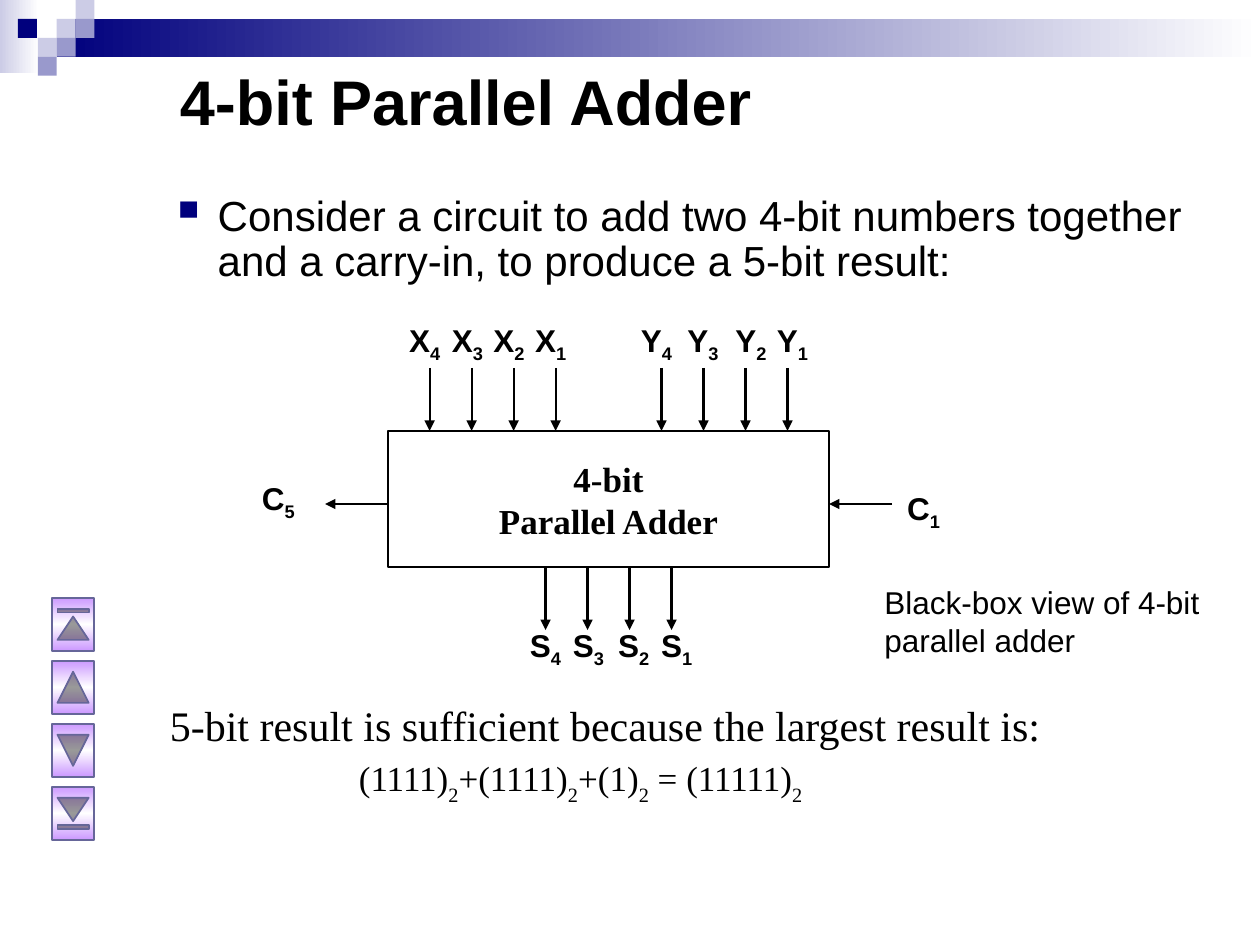
from lxml import etree
from pptx import Presentation
from pptx import util as u
from pptx.dml.color import RGBColor
from pptx.enum import shapes, text
from pptx.oxml import parse_xml
from pptx.oxml.ns import nsdecls, qn

BLACK, NAVY, PALE, MID = "000000", "00007D", "CCCCE6", "9999CC"
SERIF = "Times New Roman"
KIND = shapes.MSO_SHAPE


def rgb(color):
    return RGBColor.from_string(color)


def inches(*lengths):
    return [u.Inches(n) for n in lengths]


def add_shape(s, kind, box, fill=None, line=None, width=1):
    sp = s.shapes.add_shape(kind, *inches(*box))
    sp.shadow.inherit = False
    if fill:
        sp.fill.solid()
        sp.fill.fore_color.rgb = rgb(fill)
    else:
        sp.fill.background()
    if line:
        sp.line.color.rgb = rgb(line)
        sp.line.width = u.Pt(width)
    else:
        sp.line.fill.background()
    return sp


def set_gradient(sp, colors, angle=0):
    """Spread the colours evenly, at an angle that stays fixed on the slide."""
    stops = "".join(
        f'<a:gs pos="{100000 * i // (len(colors) - 1)}"><a:srgbClr val="{c}"/></a:gs>'
        for i, c in enumerate(colors))
    grad = parse_xml(
        f'<a:gradFill {nsdecls("a")} rotWithShape="0"><a:gsLst>{stops}</a:gsLst>'
        f'<a:lin ang="{angle * 60000}" scaled="1"/></a:gradFill>')
    spPr = sp._element.spPr
    spPr.replace(spPr.find(qn("a:noFill")), grad)


def add_text(s, box, paragraphs, size=18, font="Arial", bold=False,
             align=text.PP_ALIGN.LEFT, anchor=text.MSO_ANCHOR.TOP):
    """Each paragraph is a list of (text, baseline percent, size or None)."""
    tf = s.shapes.add_textbox(*inches(*box)).text_frame
    tf.word_wrap = True
    tf.vertical_anchor = anchor
    for i, runs in enumerate(paragraphs):
        p = tf.paragraphs[0] if i == 0 else tf.add_paragraph()
        p.alignment = align
        for words, baseline, run_size in runs:
            r = p.add_run()
            r.text = words
            r.font.size = u.Pt(run_size or size)
            r.font.name = font
            r.font.bold = bold
            r.font.color.rgb = rgb(BLACK)
            if baseline:
                r._r.get_or_add_rPr().set("baseline", str(baseline * 1000))
    return tf


def plain(words):
    return [(words, 0, None)]


def add_arrow(s, x1, y1, x2, y2):
    line = s.shapes.add_connector(shapes.MSO_CONNECTOR.STRAIGHT, *inches(x1, y1, x2, y2))
    line.line.color.rgb = rgb(BLACK)
    line.line.width = u.Pt(1.25)
    etree.SubElement(line.line._get_or_add_ln(), qn("a:tailEnd"), type="triangle")
    etree.SubElement(line._element.spPr, qn("a:effectLst"))


def add_signal(s, center, top, letter, index):
    width = 0.6
    add_text(s, (center - width / 2, top, width, 0.44),
             [[(letter, 0, None), (str(index), -25, None)]],
             bold=True, align=text.PP_ALIGN.CENTER)


def header(s, left, top, width):
    unit = 0.15
    set_gradient(add_shape(s, KIND.RECTANGLE, (left, top, 0.31, 0.58)), [PALE, "FFFFFF"])
    bar = (left + 3 * unit, top + unit, width - 3 * unit, 2 * unit)
    set_gradient(add_shape(s, KIND.RECTANGLE, bar), [NAVY, "FFFFFF"])
    squares = [(3, 1, PALE), (4, 0, PALE), (4, 1, MID), (2, 2, PALE),
               (0.95, 1, NAVY), (3, 2, MID), (2, 3, MID)]
    for col, row, color in squares:
        add_shape(s, KIND.RECTANGLE,
                  (left + col * unit, top + row * unit, unit, unit), color)


def bullet_text(s, box, words):
    p = add_text(s, box, [plain(words)], size=24).paragraphs[0]
    p.line_spacing = 0.9
    pPr = p._p.get_or_add_pPr()
    indent = u.Inches(0.38)
    pPr.set("marL", str(indent))
    pPr.set("indent", str(-indent))
    color = etree.SubElement(pPr, qn("a:buClr"))
    etree.SubElement(color, qn("a:srgbClr"), val=NAVY)
    etree.SubElement(pPr, qn("a:buSzPct"), val="120000")
    etree.SubElement(pPr, qn("a:buChar"), char="▪")


def adder_diagram(s, left, top, width, height):
    right, bottom, middle = left + width, top + height, top + 0.58
    reach, pitch = 0.5, 1 / 3
    add_shape(s, KIND.RECTANGLE, (left, top, width, height), line=BLACK, width=1.5)
    add_text(s, (left + 0.58, top + 0.16, width - 1.16, 0.77),
             [plain("4-bit"), plain("Parallel Adder")],
             size=20, font=SERIF, bold=True, align=text.PP_ALIGN.CENTER)

    # letter, first arrow, arrow start, label top, label centres
    buses = [
        ("X", 0.33, top - reach, top - 0.92, (0.29, 0.63, 0.96, 1.29)),
        ("Y", 2.17, top - reach, top - 0.92, (2.13, 2.5, 2.88, 3.21)),
        ("S", 1.25, bottom, bottom + 0.42, (1.25, 1.59, 1.95, 2.29)),
    ]
    for letter, first, start, label_top, centers in buses:
        for i, center in enumerate(centers):
            x = left + first + i * pitch
            add_arrow(s, x, start, x, start + reach)
            add_signal(s, left + center, label_top, letter, 4 - i)

    add_arrow(s, left, middle, left - reach, middle)
    add_signal(s, left - 0.87, top + 0.33, "C", 5)
    add_arrow(s, right + reach, middle, right, middle)
    add_signal(s, right + 0.75, top + 0.41, "C", 1)


def result_text(s, box):
    formula = [("\t", 0, 24), ("\t\t", 0, 20)]
    for term in ("(1111)", "+(1111)", "+(1)", " = (11111)"):
        formula += [(term, 0, 20), ("2", -30, 20)]
    add_text(s, box, [plain("5-bit result is sufficient because the largest result is:"),
                      formula], size=24, font=SERIF)


def navigation(s, left, top, pitch):
    """Stack buttons turned a quarter so that their arrows point up and down."""
    kinds = [KIND.ACTION_BUTTON_BEGINNING, KIND.ACTION_BUTTON_BACK_OR_PREVIOUS,
             KIND.ACTION_BUTTON_FORWARD_OR_NEXT, KIND.ACTION_BUTTON_END]
    for i, kind in enumerate(kinds):
        sp = add_shape(s, kind, (left, top + i * pitch, 0.42, 0.33), line="666699")
        sp.rotation = 90
        set_gradient(sp, ["CC99FF", "FFFFFF", "CC99FF"], 90)


def main():
    prs = Presentation()
    prs.slide_width, prs.slide_height = inches(10, 7.5)
    s = prs.slides.add_slide(prs.slide_layouts[6])
    header(s, 0, 0, 10)
    add_text(s, (1.33, 0.17, 8.5, 1.25), [plain("4-bit Parallel Adder")],
             size=36, bold=True, anchor=text.MSO_ANCHOR.MIDDLE)
    bullet_text(s, (1.25, 1.5, 8.5, 1),
                "Consider a circuit to add two 4-bit numbers together "
                "and a carry-in, to produce a 5-bit result:")
    adder_diagram(s, 3.08, 3.42, 3.5, 1.08)
    add_text(s, (6.92, 4.58, 2.75, 0.7), [plain("Black-box view of 4-bit parallel adder")])
    result_text(s, (1.25, 5.5, 8.5, 1.08))
    navigation(s, 0.37, 4.79, 0.5)
    prs.save("out.pptx")


if __name__ == "__main__":
    main()
